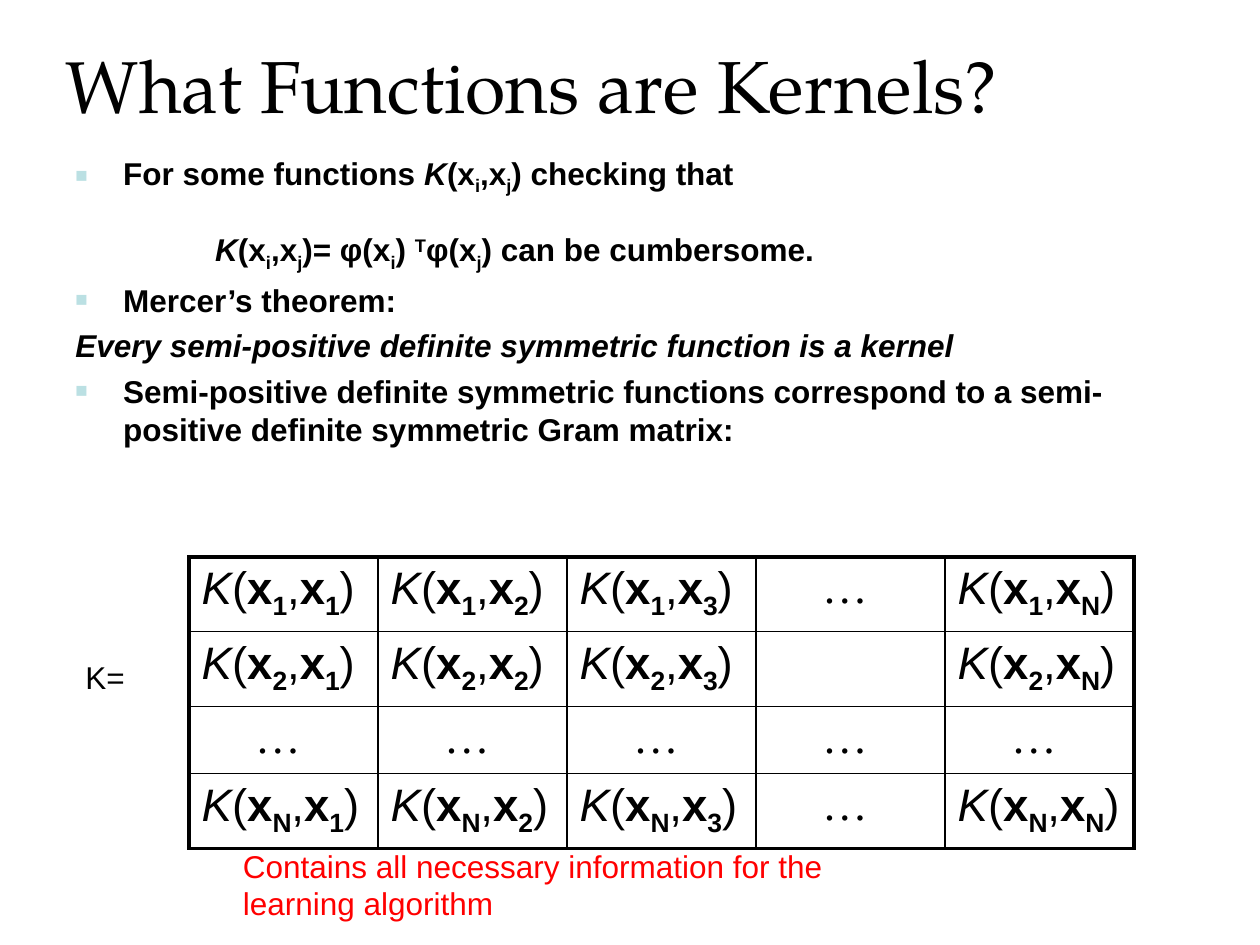
from lxml.etree import SubElement
from pptx import Presentation
from pptx.dml.color import RGBColor
from pptx.enum.text import MSO_ANCHOR, PP_ALIGN
from pptx.oxml.ns import qn
from pptx.util import Inches, Pt

BLACK = RGBColor(0x00, 0x00, 0x00)
RED = RGBColor(0xFF, 0x00, 0x00)
BULLET = RGBColor(0xBB, 0xE0, 0xE3)
TITLE_FONT, BODY_FONT, DOTS_FONT = "TeX Gyre Pagella", "Arial", "Times New Roman"
BASELINES = {"_": "-25000", "^": "30000"}
THIN, THICK = Pt(1), Pt(2.25)


def add_run(p, text, size, style="", font=BODY_FONT, color=BLACK):
    """Add one run; style letters are b, i, _ (subscript) and ^ (superscript)."""
    r = p.add_run()
    r.text = text
    r.font.size, r.font.name = Pt(size), font
    r.font.color.rgb = color
    r.font.bold, r.font.italic = "b" in style, "i" in style
    for mark, baseline in BASELINES.items():
        if mark in style:
            r.font._element.set("baseline", baseline)


def set_indent(p, left, first=0.0, bullet=False):
    """Set the paragraph indents in inches, with or without a square bullet."""
    pPr = p._p.get_or_add_pPr()
    pPr.set("marL", str(Inches(left)))
    pPr.set("indent", str(Inches(first)))
    if not bullet:
        SubElement(pPr, qn("a:buNone"))
        return
    clr = SubElement(pPr, qn("a:buClr"))
    SubElement(clr, qn("a:srgbClr"), val=str(BULLET))
    SubElement(pPr, qn("a:buSzPct"), val="65000")
    SubElement(pPr, qn("a:buFont"), typeface=BODY_FONT)
    SubElement(pPr, qn("a:buChar"), char="■")


def add_title(s, left, top, width, height):
    """Place and format the title placeholder."""
    sp = s.shapes.title
    sp.left, sp.top, sp.width, sp.height = map(Inches, (left, top, width, height))
    tf = sp.text_frame
    tf.word_wrap, tf.vertical_anchor = True, MSO_ANCHOR.MIDDLE
    p = tf.paragraphs[0]
    p.alignment = PP_ALIGN.LEFT
    add_run(p, "What Functions are Kernels?", 42, font=TITLE_FONT)


def add_text_box(s, left, top, width, height):
    """Add an empty wrapping text box and return its text frame."""
    sp = s.shapes.add_textbox(*map(Inches, (left, top, width, height)))
    sp.text_frame.word_wrap = True
    return sp.text_frame


def add_label(s, left, top, width, height, text, color=BLACK):
    """Add a short plain text in one run."""
    tf = add_text_box(s, left, top, width, height)
    add_run(tf.paragraphs[0], text, 18, color=color)


def add_body(s, left, top, width, height):
    """Add the bulleted statements about kernel functions."""
    kernel = [("K", "bi"), ("(x", "b"), ("i", "b_"), (",x", "b"), ("j", "b_")]
    product = [(")= φ(x", "b"), ("i", "b_"), (") ", "b"), ("T", "b^"),
               ("φ(x", "b"), ("j", "b_"), (") can be cumbersome.", "b")]
    bullet, formula, plain = (0.38, -0.38, True), (1.11,), (0.38, -0.38)
    paragraphs = [
        (bullet, 0, [("For some functions ", "b"), *kernel, (") checking that ", "b")]),
        (formula, 7.2, kernel + product),
        (bullet, 4.4, [("Mercer’s theorem:", "b")]),
        (plain, 4.4, [("Every semi-positive definite symmetric function is a kernel", "bi")]),
        (bullet, 4.4, [("Semi-positive definite symmetric functions correspond to a "
                        "semi-positive definite symmetric Gram matrix:", "b")]),
    ]
    tf = add_text_box(s, left, top, width, height)
    for i, (indent, gap, runs) in enumerate(paragraphs):
        p = tf.add_paragraph() if i else tf.paragraphs[0]
        p.space_before = Pt(gap)
        set_indent(p, *indent)
        for text, style in runs:
            add_run(p, text, 18, style)
        if indent is formula:
            add_run(p, " ", 30)


def set_borders(cell, widths):
    """Draw the left, right, top and bottom borders of a cell."""
    tcPr = cell._tc.get_or_add_tcPr()
    for i, (side, width) in enumerate(zip(("lnL", "lnR", "lnT", "lnB"), widths)):
        ln = tcPr.makeelement(qn(f"a:{side}"), {"w": str(width)})
        fill = SubElement(ln, qn("a:solidFill"))
        SubElement(fill, qn("a:srgbClr"), val=str(BLACK))
        tcPr.insert(i, ln)


def add_gram_matrix(s, left, top, width, height):
    """Add the Gram matrix table with a heavy outer frame."""
    row_names, col_names = ["1", "2", "…", "N"], ["1", "2", "3", "…", "N"]
    n_rows, n_cols = len(row_names), len(col_names)
    table = s.shapes.add_table(n_rows, n_cols, *map(Inches, (left, top, width, height))).table
    table.first_row = table.horz_banding = False
    for i, row in enumerate(row_names):
        for j, col in enumerate(col_names):
            cell = table.cell(i, j)
            cell.fill.background()
            edges = (j == 0, j == n_cols - 1, i == 0, i == n_rows - 1)
            set_borders(cell, [THICK if edge else THIN for edge in edges])
            p = cell.text_frame.paragraphs[0]
            if (row, col) == ("2", "…"):
                continue
            if "…" in (row, col):
                p.alignment = PP_ALIGN.CENTER
                add_run(p, "… ", 26, font=DOTS_FONT)
                continue
            for text, style in (("K", "i"), ("(", ""), ("x", "b"), (row, "b_"),
                                (",", ""), ("x", "b"), (col, "b_"), (")", "")):
                add_run(p, text, 26, style)


def main():
    """Build the slide and save it."""
    prs = Presentation()
    prs.slide_width, prs.slide_height = Inches(10), Inches(7.5)
    s = prs.slides.add_slide(prs.slide_layouts[5])
    add_title(s, 0.42, 0.25, 8.5, 0.83)
    add_body(s, 0.5, 1.17, 9, 5.5)
    add_gram_matrix(s, 1.5, 4.42, 7.5, 1.96)
    add_label(s, 0.58, 5.17, 1.06, 0.5, "K=")
    add_label(s, 1.83, 6.67, 5, 0.71,
              "Contains all necessary information for the learning algorithm", RED)
    prs.save("out.pptx")


main()
